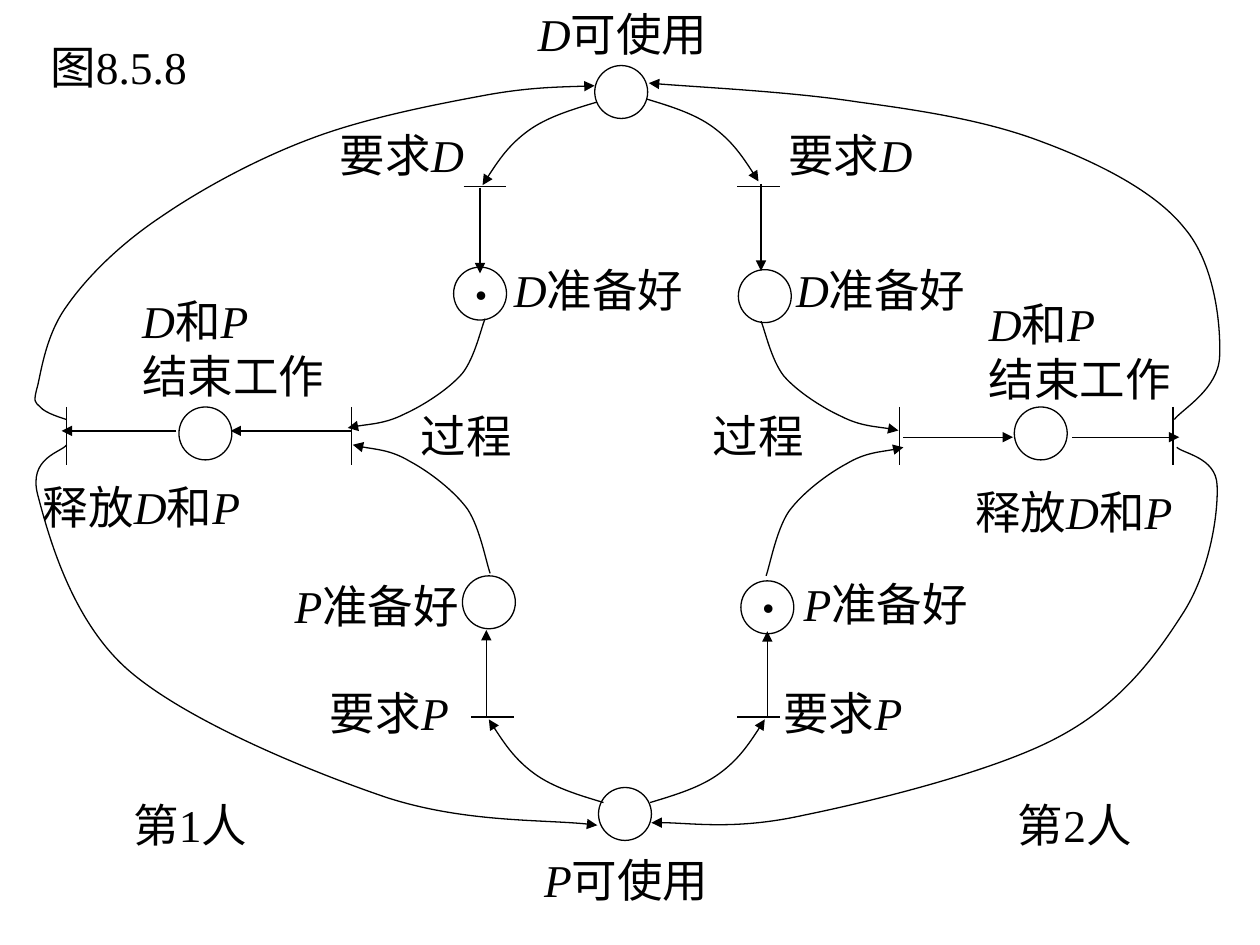
from itertools import groupby

from lxml.etree import SubElement
from pptx import Presentation
from pptx.dml.color import RGBColor
from pptx.enum.shapes import MSO_CONNECTOR, MSO_SHAPE
from pptx.enum.text import MSO_AUTO_SIZE
from pptx.oxml.ns import qn
from pptx.util import Inches, Pt

BLACK = RGBColor(0, 0, 0)
WHITE = RGBColor(255, 255, 255)
FONT = "Times New Roman"

deck = Presentation()
deck.slide_width, deck.slide_height = Inches(10), Inches(7.5)
slide = deck.slides.add_slide(deck.slide_layouts[6])
shapes = slide.shapes

# Grid of 100 columns by 75 rows
COL = deck.slide_width / 100
ROW = deck.slide_height / 75


def put(text, x, y, wide, high=5.4, size=26, bold=False, wrap=True):
    """Write text, with the resource letters D and P in italics."""
    box = shapes.add_textbox(int(x * COL), int(y * ROW), int(wide * COL), int(high * ROW))
    frame = box.text_frame
    frame.word_wrap = wrap
    frame.auto_size = MSO_AUTO_SIZE.SHAPE_TO_FIT_TEXT
    for num, row in enumerate(text.split("\n")):
        para = frame.add_paragraph() if num else frame.paragraphs[0]
        for slant, part in groupby(row, lambda char: char in "DP"):
            run = para.add_run()
            run.text = "".join(part)
            font = run.font
            font.name, font.size = FONT, Pt(size)
            font.bold, font.italic = bold, slant
            font.color.rgb = BLACK


def curve(start, steps, flip=1, rise=1):
    """Trace joined Bezier curves; steps are offsets from start, three to a curve."""
    x, y = start
    knots = [(int((x + flip * dx) * COL), int((y + rise * dy) * ROW)) for dx, dy in steps]
    pen = shapes.build_freeform(int(x * COL), int(y * ROW))
    pen.add_line_segments(knots, close=False)
    shape = pen.convert_to_shape()
    # Turn each three straight steps into one cubic curve
    trace = next(shape.element.iter(qn("a:path")))
    lines = trace.findall(qn("a:lnTo"))
    for i in range(0, len(lines), 3):
        cubic = SubElement(trace, qn("a:cubicBezTo"))
        for line in lines[i:i + 3]:
            cubic.append(line[0])
            trace.remove(line)
    return shape


plain, arrows = [], []

# Outer arcs: release of D and P
for start, steps in [
    ((5.3, 33.3), [(-.3, -.1), (-1.7, -.5), (-2.1, -1), (-2.5, -1.4), (-2.7, -1.3), (-2.3, -2.7),
                   (-2, -4), (-1.6, -6.8), (0, -9), (1.6, -11.3), (4.2, -13.9), (7.5, -16.1),
                   (10.7, -18.3), (15.1, -20.7), (19.4, -22.3), (23.6, -23.9), (29.2, -25),
                   (33, -25.7), (36.7, -26.4), (40.1, -26.4), (41.9, -26.5)]),
    ((5.3, 35.3), [(-.4, .6), (-3.1, 1), (-2.3, 4), (-1.5, 7), (.3, 13.9), (4.9, 17.9),
                   (9.5, 21.9), (19.2, 25.9), (25.4, 28), (31.6, 30), (38.7, 29.7), (42.1, 30.2)]),
    ((93.4, 35.5), [(.5, .5), (3.1, .8), (3.2, 3), (3.3, 5.1), (2.7, 9.6), (.6, 13),
                    (-1.5, 16.3), (-4.3, 20.3), (-9.4, 23), (-14.4, 25.7), (-24.2, 28.1),
                    (-29.6, 29.2), (-35, 30.4), (-39.2, 29.7), (-41.7, 29.8)]),
    ((93.2, 33.3), [(.6, -.8), (3.5, -2.4), (3.6, -5), (3.7, -7.6), (3.2, -12.4), (.8, -15.2),
                    (-1.5, -18.1), (-6.1, -20.4), (-10.4, -22), (-14.8, -23.7), (-19.9, -24.5),
                    (-25.1, -25.2), (-30.3, -26), (-38.3, -26.4), (-41.7, -26.7)]),
]:
    arrows.append(curve(start, steps))

# Short bows from each resource to its requests
bow = [(2, .6), (4, 1.2), (5.5, 2.3), (7, 3.4), (8.1, 5), (9.1, 6.6)]
for x, y, flip, rise in [(47.4, 8.1, -1, 1), (51.1, 7.8, 1, 1),
                         (51.6, 63.7, 1, -1), (47.9, 63.7, -1, -1)]:
    arrows.append(curve((x, y), bow, flip, rise))

# Bends from ready places to the process bars
bend = [(.3, .8), (.8, 3.6), (1.8, 5.1), (2.9, 6.6), (4.9, 8.1), (6.4, 8.9),
        (7.9, 9.8), (9.9, 9.9), (10.9, 10.2)]
for x, y, flip, rise in [(38.9, 45.5, -1, -1), (60.8, 45.7, 1, -1),
                         (60.4, 25.5, 1, .85), (38.5, 25.3, -1, .85)]:
    arrows.append(curve((x, y), bend, flip, rise))

# Transition bars, upright then level
bars = [(x, 32.3, x, 36.9) for x in (5.3, 27.9, 71.4, 93.1)]
bars += [(x, y, x + 3.4, y)
         for x, y in [(36.8, 14.8), (58.5, 14.8), (37.4, 56.9), (58.5, 56.9)]]

# Straight arrows
links = [(38.1, 14.9, 38.1, 21.7), (60.4, 14.6, 60.4, 21.5),
         (60.9, 56.9, 60.9, 50.1), (38.6, 56.9, 38.6, 50),
         (71.7, 34.7, 80.4, 34.7), (85.1, 34.7, 93.6, 34.7),
         (27.9, 34.2, 18.3, 34.2), (14, 34.2, 4.9, 34.2)]
for group, ends in ((plain, bars), (arrows, links)):
    for x1, y1, x2, y2 in ends:
        group.append(shapes.add_connector(MSO_CONNECTOR.STRAIGHT, int(x1 * COL), int(y1 * ROW),
                                          int(x2 * COL), int(y2 * ROW)))

# Places, and tokens in two of them
for x, y, token in [(36, 21.2, True), (58.6, 21.4, False), (36.7, 45.7, False),
                    (58.8, 46.1, True), (47.5, 62.5, False), (14.2, 32.3, False),
                    (80.5, 32.3, False), (47.2, 5.2, False)]:
    place = shapes.add_shape(MSO_SHAPE.OVAL, int(x * COL), int(y * ROW),
                             int(4.2 * COL), int(4.2 * ROW))
    plain.append(place)
    if token:
        put("·", x + .5, y - 1, 3.4, high=6, size=30, bold=True, wrap=False)

# Line style for everything drawn
for item in plain + arrows:
    item.line.color.rgb = BLACK
    item.line.width = Pt(.75)
    props = item.element.spPr
    if item in arrows:
        SubElement(props.find(qn("a:ln")), qn("a:tailEnd"), type="triangle")
    if hasattr(item, "fill"):
        item.fill.background()
        item.shadow.inherit = False
    else:
        SubElement(props, qn("a:effectLst"))

# The D resource is the one filled place
place.fill.solid()
place.fill.fore_color.rgb = WHITE

# Labels
put("图8.5.8", 3, 2.6, 15.5)
put("D可使用", 41.7, 0, 16.3, wrap=False)
put("P可使用", 42.2, 67.1, 15.9, wrap=False)
for text, wide, spots in [
    ("D和P\n结束工作", 16.7, [(10.3, 22.8), (77.5, 23)]),
    ("释放D和P", 20.5, [(2.4, 37.5), (76.4, 37.9)]),
    ("过程", 9.2, [(32.4, 31.9), (55.6, 31.9)]),
    ("要求D", 12.7, [(26, 9.6), (61.6, 9.6)]),
    ("D准备好", 16.3, [(39.8, 20.3), (62.2, 20.3)]),
    ("P准备好", 15.9, [(22.4, 45.4), (62.8, 45.2)]),
    ("要求P", 12.3, [(25.2, 53.9), (61.2, 53.9)]),
    ("第1人", 12.8, [(9.6, 62.8)]),
    ("第2人", 12.8, [(79.8, 62.8)]),
]:
    for x, y in spots:
        put(text, x, y, wide, high=9.7 if "\n" in text else 5.4)

deck.save("out.pptx")
